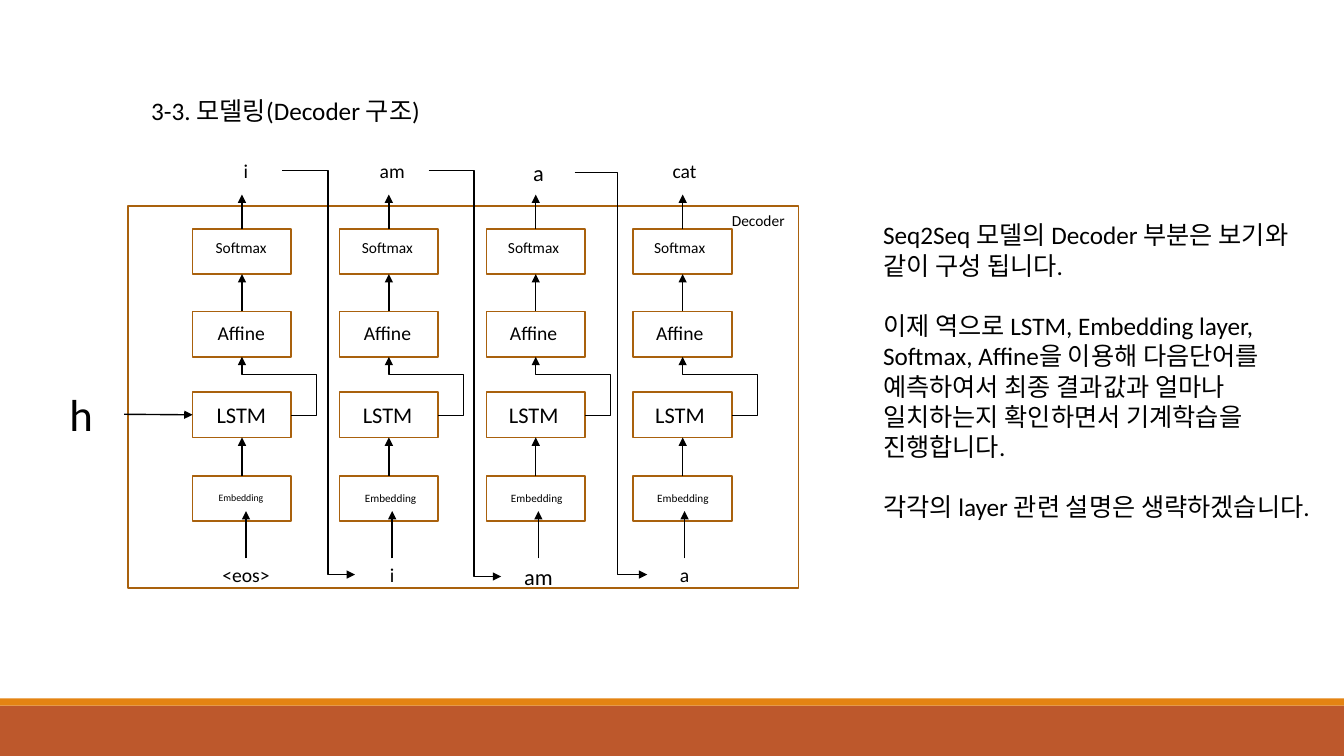
from pptx import Presentation
from pptx.dml.color import RGBColor
from pptx.enum.shapes import MSO_CONNECTOR as Conn, MSO_SHAPE as Kind
from pptx.enum.text import MSO_ANCHOR as Anchor, PP_ALIGN as Align
from pptx.oxml.ns import qn
from pptx.util import Inches, Pt
from lxml.etree import SubElement


def color(code):
    return RGBColor.from_string(code)


def write(box, lines, size, align=Align.LEFT, gap=0):
    frame = box.text_frame
    frame.word_wrap = True
    frame.text = "\n".join(lines)
    for i, para in enumerate(frame.paragraphs):
        para.alignment = align
        para.space_before = Pt(gap if i else 0)
        para.font.size = Pt(size)
        para.font.name = "Calibri"
        para.font.color.rgb = color("000000")
    return box


deck = Presentation()
deck.slide_width, deck.slide_height = Inches(13.33), Inches(7.5)
slide = deck.slides.add_slide(deck.slide_layouts[5])
shapes = slide.shapes

title = shapes.title
title.left, title.top = Inches(1.4), Inches(0.9)
title.width, title.height = Inches(3.88), Inches(0.4)
write(title, ["3-3. 모델링(Decoder 구조)"], 18)
title.text_frame.vertical_anchor = Anchor.TOP

for top, high, fill in [(7, 0.5, "BD582C"), (6.93, 0.07, "E48312")]:
    bar = shapes.add_shape(Kind.RECTANGLE, 0, Inches(top), deck.slide_width, Inches(high))
    bar.shadow.inherit = False
    bar.fill.solid()
    bar.fill.fore_color.rgb = color(fill)
    bar.line.fill.background()

body = shapes.add_textbox(Inches(8.66), Inches(2.13), Inches(4.58), Inches(3.43))
write(body, [
    "Seq2Seq 모델의 Decoder 부분은 보기와 같이 구성 됩니다.",
    "이제 역으로 LSTM, Embedding layer, Softmax, Affine을 이용해 다음단어를 "
    "예측하여서 최종 결과값과 얼마나 일치하는지 확인하면서 기계학습을 진행합니다.",
    "각각의 layer 관련 설명은 생략하겠습니다.",
], 18, gap=21.6)

step = 1.457
rows = [("Softmax", 2.27), ("Affine", 3.09), ("LSTM", 3.89), ("Embedding", 4.72)]
places = [(1.27, 2.04, 6.65, 3.79)]
places += [(1.91 + step * i, top, 0.98, 0.45) for name, top in rows for i in range(4)]
cells = []
for place in places:
    cell = shapes.add_shape(Kind.RECTANGLE, *[Inches(n) for n in place])
    cell.shadow.inherit = False
    cell.fill.background()
    cell.line.color.rgb = color("A9610D")
    cell.line.width = Pt(1.25)
    cells.append(cell)
frame = cells.pop(0)
frame.fill.solid()
frame.fill.fore_color.rgb = color("FFFFFF")
soft, affine, lstm, embed = [cells[n:n + 4] for n in range(0, 16, 4)]

labels = [
    (["Softmax"] * 4, 2.04, 2.31, 0.29, [11] * 4, Align.LEFT),
    (["Affine"] * 4, 2.06, 3.13, 0.34, [14] * 4, Align.LEFT),
    (["LSTM"] * 4, 2.05, 3.93, 0.37, [16] * 4, Align.LEFT),
    (["Embedding"] * 4, 2.07, 4.83, 0.24, [7, 8, 8, 8], Align.LEFT),
    (["i", "am", "a", "cat"], 2.07, 1.53, 0.34, [14, 14, 16, 14], Align.CENTER),
    (["<eos>", "i", "am", "a"], 2.07, 5.54, 0.34, [14, 14, 16, 14], Align.CENTER),
]
for words, left, top, high, sizes, align in labels:
    inputs = []
    for i, word in enumerate(words):
        box = shapes.add_textbox(Inches(left + 1.45 * i), Inches(top), Inches(0.74), Inches(high))
        inputs.append(write(box, [word], sizes[i], align))

tag = shapes.add_textbox(Inches(7.16), Inches(2.04), Inches(0.76), Inches(0.29))
write(tag, ["Decoder"], 11)
state = shapes.add_textbox(Inches(0.59), Inches(3.79), Inches(0.64), Inches(0.64))
write(state, ["h"], 32)

arrows = [((1.23, 4.11, 1.91, 4.11), (state, 3), (lstm[0], 1), None, [])]
for i in range(4):
    mid = 2.4 + step * i
    word = 2.44 + 1.45 * i
    arrows += [
        ((mid, 4.72, mid, 4.34), (embed[i], 0), (lstm[i], 2), None, []),
        ((mid, 3.09, mid, 2.72), (affine[i], 0), (soft[i], 2), None, []),
        ((mid, 2.27, mid, 1.93), (soft[i], 0), None, None, []),
        ((word, 5.54, word, 5.07), (inputs[i], 0), None, None, []),
        ((mid + 0.49, 4.12, mid, 3.54), None, None, "bentConnector4", [-51000, 69300]),
    ]
for i, (start, end, bend) in enumerate([(1.69, 5.7, 63200), (1.69, 5.72, 62900), (1.71, 5.7, 59100)]):
    left = 2.8 + 1.45 * i
    arrows.append(((left, start, left + 0.72, end), None, None, "bentConnector3", [bend]))

for ends, source, target, bent, bends in arrows:
    kind = Conn.ELBOW if bent else Conn.STRAIGHT
    arrow = shapes.add_connector(kind, *[Inches(n) for n in ends])
    if source:
        arrow.begin_connect(*source)
    if target:
        arrow.end_connect(*target)
    arrow.line.color.rgb = color("000000")
    arrow.line.width = Pt(1)
    props = arrow._element.spPr
    SubElement(props.find(qn("a:ln")), qn("a:tailEnd"), type="triangle")
    SubElement(props, qn("a:effectLst"))
    if bent:
        geom = props.find(qn("a:prstGeom"))
        geom.set("prst", bent)
        guides = geom.find(qn("a:avLst"))
        for n, bend in enumerate(bends, 1):
            SubElement(guides, qn("a:gd"), name=f"adj{n}", fmla=f"val {bend}")

deck.save("out.pptx")
